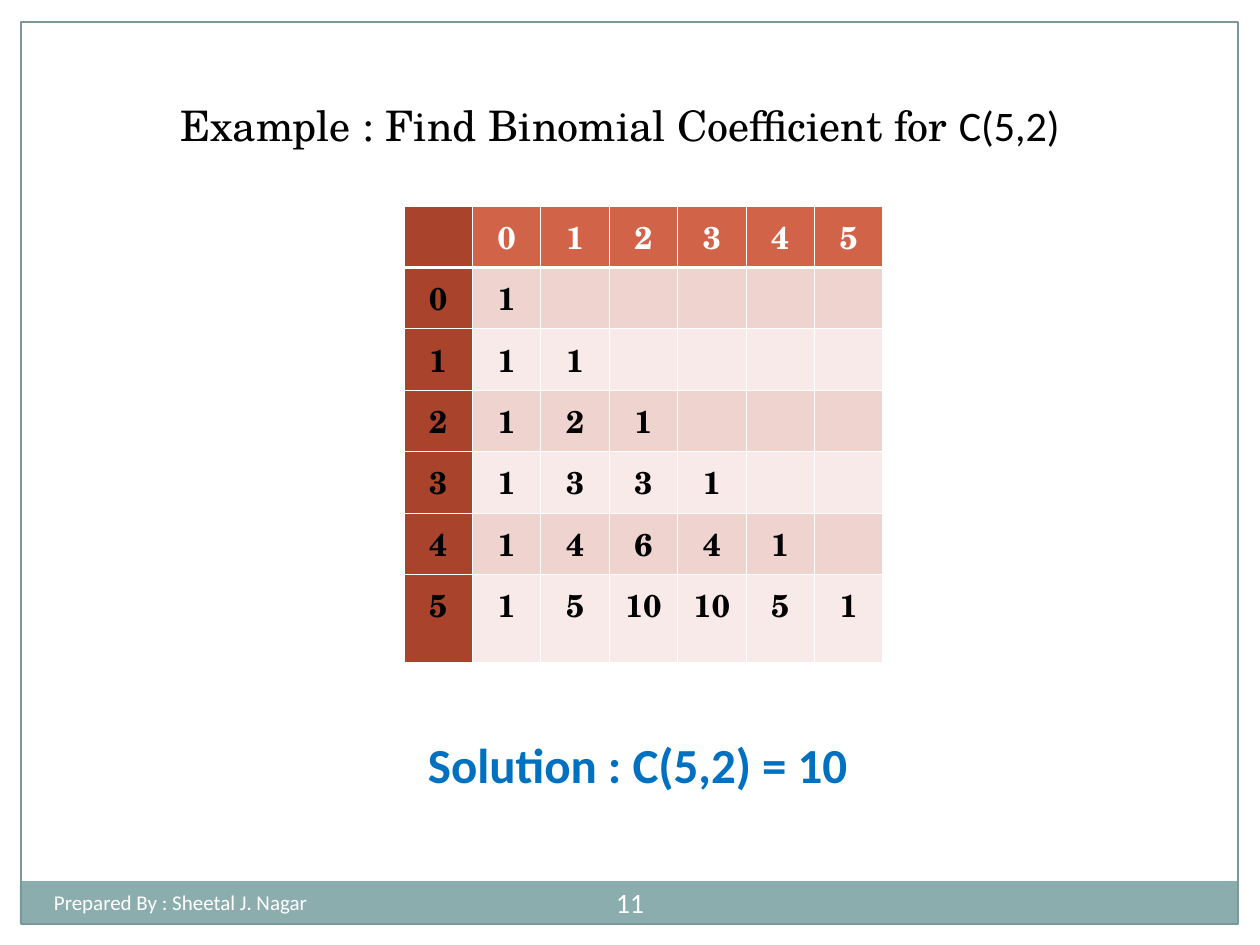
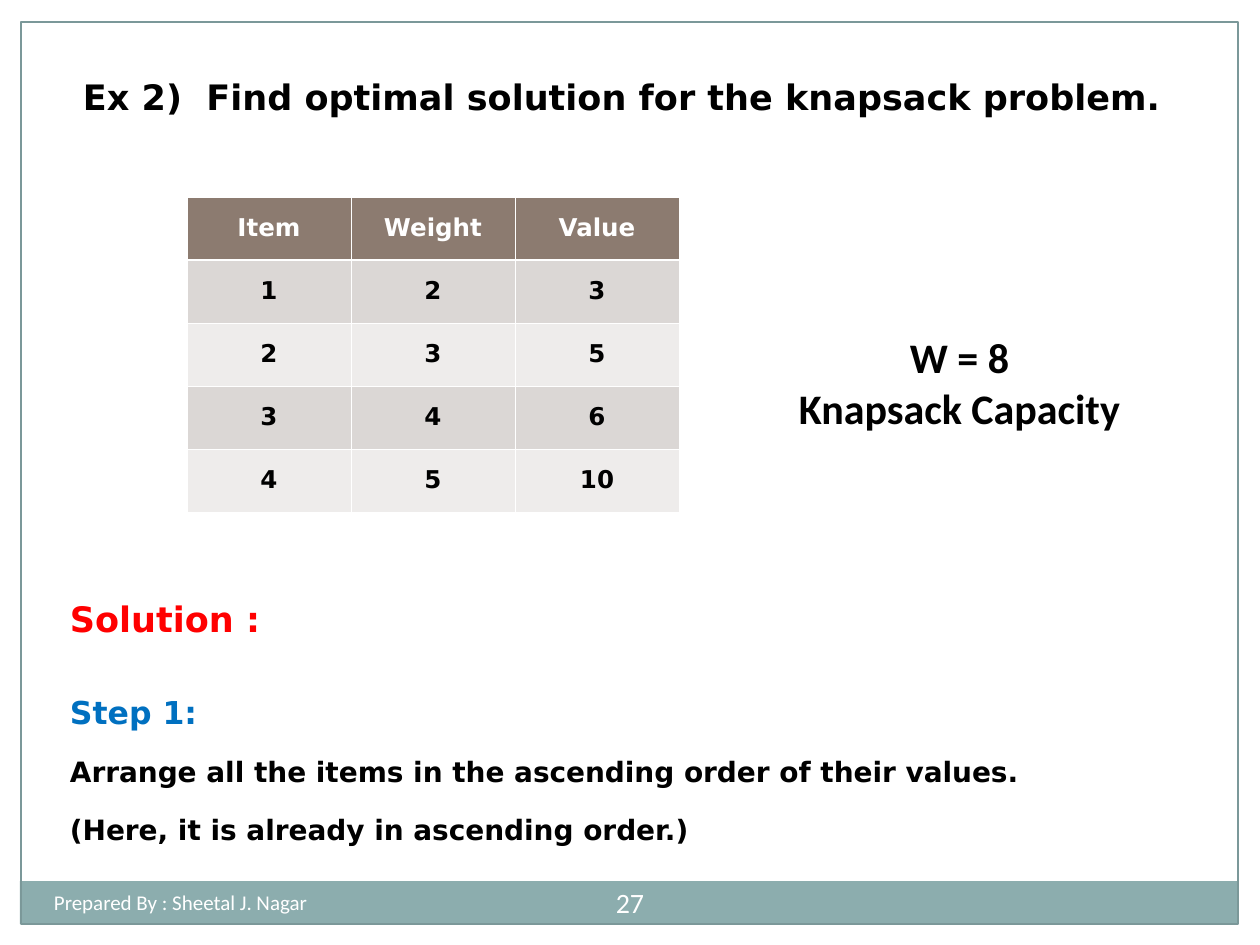
import math
from dataclasses import dataclass

import pptx
import pptx.dml.color
import pptx.enum.shapes
import pptx.enum.text
import pptx.oxml
import pptx.oxml.ns
import pptx.util

EMU_PER_PX = 914400 / 126
SLIDE_WIDTH, SLIDE_HEIGHT, MARGIN = 1260, 945, 21
ALIGN = pptx.enum.text.PP_ALIGN
ANCHOR = pptx.enum.text.MSO_ANCHOR
AUTO_SIZE = pptx.enum.text.MSO_AUTO_SIZE


@dataclass(frozen=True)
class TableColors:
    header: str
    bands: tuple
    first_column: str = ""


@dataclass(frozen=True)
class Theme:
    white: str = "FFFFFF"
    black: str = "000000"
    blue: str = "0070C0"
    red: str = "FF0000"
    band: str = "8CADAE"
    frame: str = "7B9899"
    serif: str = "TeX Gyre Schola"
    sans: str = "DejaVu Sans"
    plain: str = "Calibri"
    result_size: int = 28
    title_size: int = 24
    heading_size: int = 20
    step_size: int = 18
    body_size: int = 16
    table_size: int = 14
    footer_size: int = 12
    rust: TableColors = TableColors("D16349", ("EED3CF", "F7EAE9"), "A9432B")
    brown: TableColors = TableColors("8C7B70", ("DBD7D5", "EEECEB"))


THEME = Theme()


def px(length):
    return pptx.util.Emu(round(length * EMU_PER_PX))


def rgb(color):
    return pptx.dml.color.RGBColor.from_string(color)


def set_values(target, values):
    for name, value in values.items():
        setattr(target, name, value)


def text_run(text, size, font=THEME.plain, color=THEME.black, bold=False):
    return {"text": text, "color": color,
            "font": {"size": pptx.util.Pt(size), "name": font, "bold": bold}}


def fill_paragraph(paragraph, runs, values=None, indent=None):
    set_values(paragraph, values or {})
    if indent:
        left, first = indent
        properties = paragraph._p.get_or_add_pPr()
        properties.set("marL", str(px(left)))
        properties.set("indent", str(px(first)))
    for item in runs:
        run = paragraph.add_run()
        run.text = item["text"]
        set_values(run.font, item["font"])
        run.font.color.rgb = rgb(item["color"])


def add_text(slide, box, paragraphs, margins=(13, 6), **frame_values):
    shape = slide.shapes.add_textbox(*map(px, box))
    side, edge = map(px, margins)
    frame = shape.text_frame
    set_values(frame, {"word_wrap": True, "margin_left": side, "margin_right": side,
                       "margin_top": edge, "margin_bottom": edge, **frame_values})
    for index, content in enumerate(paragraphs):
        paragraph = frame.add_paragraph() if index else frame.paragraphs[0]
        fill_paragraph(paragraph, **content)


def add_rectangle(slide, box, fill=None, line=None):
    shape = slide.shapes.add_shape(
        pptx.enum.shapes.MSO_SHAPE.RECTANGLE, *map(px, box))
    shape.shadow.inherit = False
    if fill:
        shape.fill.solid()
        shape.fill.fore_color.rgb = rgb(fill)
    else:
        shape.fill.background()
    if line:
        shape.line.color.rgb = rgb(line)
        shape.line.width = pptx.util.Pt(0.75)
    else:
        shape.line.fill.background()


def add_borders(cell, widths):
    properties = cell._tc.get_or_add_tcPr()
    for side, width in widths.items():
        properties.append(pptx.oxml.parse_xml(
            f'<a:ln{side} {pptx.oxml.ns.nsdecls("a")} w="{pptx.util.Pt(width)}">'
            f'<a:solidFill><a:srgbClr val="{THEME.white}"/></a:solidFill>'
            f'</a:ln{side}>'))


def add_grid(slide, box, rows, colors, font, size, anchor=ANCHOR.TOP):
    graphic = slide.shapes.add_table(len(rows), len(rows[0]), *map(px, box))
    table = graphic.table
    set_values(table, {"first_row": False, "horz_banding": False})
    thin, thick = 0.45, 1.47
    for row, values in enumerate(rows):
        for column, value in enumerate(values):
            cell = table.cell(row, column)
            cell.vertical_anchor = anchor
            add_borders(cell, {"L": thin, "R": thin,
                               "T": thick if row == 1 else thin,
                               "B": thick if row == 0 else thin})
            fill = colors.bands[(row - 1) % 2] if row else colors.header
            if column == 0 and colors.first_column:
                fill = colors.first_column
            cell.fill.solid()
            cell.fill.fore_color.rgb = rgb(fill)
            if value != "":
                color = THEME.black if row else THEME.white
                fill_paragraph(cell.text_frame.paragraphs[0],
                               [text_run(str(value), size, font, color, True)],
                               {"alignment": ALIGN.CENTER})
    return table


def add_base_slide(presentation, number):
    slide = presentation.slides.add_slide(presentation.slide_layouts[6])
    for edge in ((0, 0, SLIDE_WIDTH, MARGIN),
                 (SLIDE_WIDTH - MARGIN, 0, MARGIN, SLIDE_HEIGHT),
                 (0, 0, MARGIN, SLIDE_HEIGHT)):
        add_rectangle(slide, edge, fill=THEME.white)
    add_rectangle(slide, (20, 881, 1217, 43), fill=THEME.band)
    add_rectangle(slide, (MARGIN, 22, 1217, 902), line=THEME.frame)
    add_text(slide, (588, 872, 84, 60),
             [{"runs": [text_run(str(number), THEME.body_size, color=THEME.white)],
               "values": {"alignment": ALIGN.CENTER}}],
             margins=(6, 6), vertical_anchor=ANCHOR.MIDDLE)
    add_text(slide, (41, 884, 494, 50),
             [{"runs": [text_run("Prepared By : Sheetal J. Nagar",
                                 THEME.footer_size, color=THEME.white)]}])
    return slide


def build_binomial_slide(presentation):
    slide = add_base_slide(presentation, 11)
    add_text(slide, (69, 69, 1102, 111),
             [{"runs": [text_run("Example : Find Binomial Coefficient for ",
                                 THEME.title_size, THEME.serif),
                        text_run("C(5,2)", THEME.title_size)],
               "values": {"alignment": ALIGN.CENTER}}],
             margins=(6, 6), vertical_anchor=ANCHOR.MIDDLE)
    numbers = range(6)
    rows = [["", *numbers]]
    rows += [[n, *(math.comb(n, k) or "" for k in numbers)] for n in numbers]
    last_height = 88
    table = add_grid(slide, (404, 206, 479, 430), rows,
                     THEME.rust, THEME.serif, THEME.step_size)
    table.rows[len(rows) - 1].height = px(last_height)
    add_text(slide, (415, 728, 519, 72),
             [{"runs": [text_run("Solution : C(5,2) = 10", THEME.result_size,
                                 color=THEME.blue, bold=True)]}],
             auto_size=AUTO_SIZE.SHAPE_TO_FIT_TEXT)


def build_knapsack_slide(presentation):
    slide = add_base_slide(presentation, 27)

    def line(text, size, color=THEME.black, before=4.0, indent=(58, -53), **values):
        return {"runs": [text_run(text, size, THEME.sans, color, True)],
                "values": {"space_before": pptx.util.Pt(before), **values},
                "indent": indent}

    add_text(slide, (12, 70, 1207, 98),
             [line("Ex 2)  Find optimal solution for the knapsack problem.",
                   THEME.heading_size, before=5, indent=(58, 0))])
    rows = [("Item", "Weight", "Value"), (1, 2, 3), (2, 3, 5), (3, 4, 6), (4, 5, 10)]
    add_grid(slide, (187, 197, 492, 315), rows, THEME.brown, THEME.sans,
             THEME.table_size, ANCHOR.MIDDLE)
    add_text(slide, (748, 326, 423, 113),
             [{"runs": [text_run(text, THEME.title_size, bold=True)],
               "values": {"alignment": ALIGN.CENTER}}
              for text in ("W = 8", "Knapsack Capacity")],
             auto_size=AUTO_SIZE.SHAPE_TO_FIT_TEXT)
    add_text(slide, (52, 592, 1207, 266), [
        line("Solution :", THEME.heading_size, THEME.red, before=5),
        line("Step 1:", THEME.step_size, THEME.blue, before=30.5),
        line("Arrange all the items in the ascending order of their values.",
             THEME.body_size, line_spacing=1.5),
        line("(Here, it is already in ascending order.)",
             THEME.body_size, line_spacing=1.5)])


def main():
    presentation = pptx.Presentation()
    set_values(presentation, {"slide_width": px(SLIDE_WIDTH),
                              "slide_height": px(SLIDE_HEIGHT)})
    build_binomial_slide(presentation)
    build_knapsack_slide(presentation)
    presentation.save("out.pptx")


if __name__ == "__main__":
    main()
